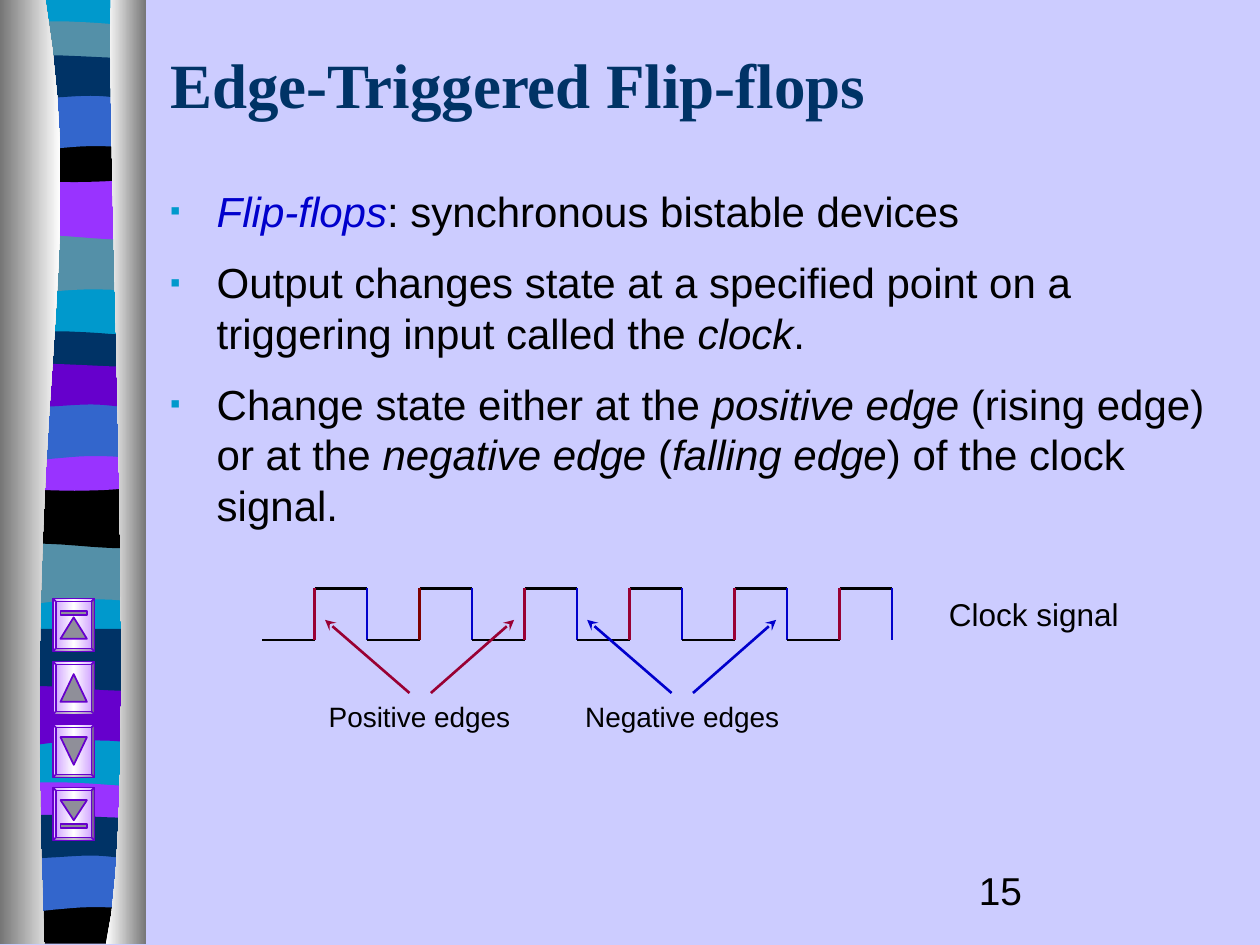
from copy import deepcopy

from pptx import Presentation
from pptx import util as u
from pptx.dml.color import RGBColor
from pptx.enum import shapes, text
from pptx.oxml import parse_xml
from pptx.oxml.ns import nsdecls, qn

LAVENDER = RGBColor(0xCC, 0xCC, 0xFF)
NAVY = RGBColor(0x00, 0x33, 0x66)
BLACK = RGBColor(0, 0, 0)
WHITE = RGBColor(0xFF, 0xFF, 0xFF)
GRAY = RGBColor(0x76, 0x76, 0x76)
ICON_GRAY = RGBColor(0x8F, 0x8F, 0x99)
CYAN = RGBColor(0x00, 0x99, 0xCC)
STEEL = RGBColor(0x54, 0x90, 0xA8)
VIOLET = RGBColor(0x99, 0x33, 0xFF)
PURPLE = RGBColor(0x66, 0x00, 0xCC)
LILAC = RGBColor(0xCC, 0x99, 0xFF)
AZURE = RGBColor(0x33, 0x66, 0xCC)
BLUE = RGBColor(0x00, 0x00, 0xCC)
CRIMSON = RGBColor(0x99, 0x00, 0x33)
MAROON = RGBColor(0x80, 0x00, 0x00)

TITLE = "Edge-Triggered Flip-flops"
PLAIN, ITALIC = {"color": BLACK}, {"color": BLACK, "italic": True}
BULLETS = [
    [("Flip-flops", {"color": BLUE, "italic": True}), (": synchronous bistable devices", PLAIN)],
    [("Output changes state at a specified point on a triggering input called the ", PLAIN),
     ("clock", ITALIC), (".", PLAIN)],
    [("Change state either at the ", PLAIN), ("positive edge", ITALIC),
     (" (rising edge) or at the ", PLAIN), ("negative edge", ITALIC), (" (", PLAIN),
     ("falling edge", ITALIC), (") of the clock signal.", PLAIN)],
]
CENTER, LEFT = text.PP_ALIGN.CENTER, text.PP_ALIGN.LEFT
LABELS = [  # wording, box, size, alignment
    ("Positive edges", (2.5, 5.5, 1.66, 0.37), 16, CENTER),
    ("Negative edges", (4.5, 5.5, 1.83, 0.37), 16, CENTER),
    ("Clock signal", (7.33, 4.67, 1.75, 0.4), 18, CENTER),
    ("15", (7.67, 6.83, 2.08, 0.5), 22.2, LEFT),
]

# Clock wave: low half, rising edge, high half, falling edge
WAVE_LEFT, HALF, HIGH, LOW = 2.08, 5 / 12, 4.67, 5.08
RISING_COLORS = [CRIMSON, MAROON, CRIMSON, CRIMSON, CRIMSON, CRIMSON]
ARROWS = [(3.25, 2.58, CRIMSON), (3.42, 4.08, CRIMSON), (5.5, 6.16, BLUE), (5.33, 4.66, BLUE)]
ARROW_FOOT, ARROW_TIP = 5.5, 4.92

# Ribbon bands: height, Bezier bottom edge (right to left), top edge (left to right)
BAND_LEFT, BAND_RIGHT = 0.05, 1.13
BANDS = {
    "twist": (0.47, [(0.39, 0.39), (0.23, 0.55), (0.05, 0.47)], []),
    "dip": (0.47, [(0.95, 0.54), (0.39, 0.41), (0.05, 0.47)], []),
    "thin": (0.24, [(0.95, 0.28), (0.23, 0.28), (0.05, 0.24)],
             [(0.12, -0.05), (0.29, -0.04), (0.47, -0.04),
              (0.65, -0.04), (1, -0.01), (1.13, 0)]),
    "sag": (0.32, [(0.95, 0.38), (0.23, 0.38), (0.05, 0.32)],
            [(0.72, 0.05), (0.91, 0), (1.13, 0)]),
    "foot": (0.37, [], [(0.72, 0.05), (0.91, 0), (1.13, 0)]),
    "arch": (0.47, [(0.97, 0.42), (0.9, 0.42), (0.72, 0.42),
                    (0.54, 0.42), (0.22, 0.47), (0.05, 0.47)], []),
    "wave": (0.3, [(1.07, 0.35), (0.9, 0.3), (0.72, 0.3),
                   (0.54, 0.3), (0.16, 0.35), (0.05, 0.3)],
             [(0.21, -0.05), (0.79, 0), (0.97, 0), (1.15, 0), (1.1, 0), (1.13, 0)]),
}
RIBBON = [
    ("twist", 1.85, STEEL), ("dip", 1.41, VIOLET), ("thin", 0.21, STEEL),
    ("sag", 1.08, BLACK), ("arch", 0.74, AZURE), ("wave", 0.46, NAVY),
    ("twist", 4.31, STEEL), ("dip", 3.86, BLACK), ("thin", 2.67, NAVY),
    ("sag", 3.53, VIOLET), ("arch", 3.2, AZURE), ("wave", 2.91, PURPLE),
    ("twist", 5.43, PURPLE), ("dip", 4.99, NAVY), ("thin", 6.25, VIOLET),
    ("foot", 7.12, BLACK), ("arch", 6.78, AZURE), ("wave", 6.49, NAVY),
]
CURTAINS = [  # start, Bezier edge, straight corners, gradient
    ((0.36, 0), [(0.71, 2.16), (0.17, 2.96), (0.35, 7.49)], [(0, 7.49), (0, 0)], [GRAY, WHITE]),
    ((0.88, 0), [(0.84, 1.25), (1.11, 6.46), (0.84, 7.49)], [(1.16, 7.49), (1.16, 0)],
     [WHITE, GRAY]),
]
BUTTON_LEFT, BUTTON_TOP, BUTTON_STEP = 0.42, 4.75, 0.5
BUTTONS = [  # triangle top, height, points down, bar top
    (0.15, 0.17, False, 0.1), (0.1, 0.22, False, None),
    (0.1, 0.22, True, None), (0.1, 0.16, True, 0.29),
]
UNITS = 1000  # freeform units to the inch


def inches(*lengths):
    return [u.Inches(length) for length in lengths]


def curve(start, controls, steps=16):
    """Points along joined cubic Beziers; controls come in threes."""
    points = []
    for i in range(0, len(controls), 3):
        knots = [start, *controls[i:i + 3]]
        for t in (n / steps for n in range(1, steps + 1)):
            weights = ((1 - t) ** 3, 3 * t * (1 - t) ** 2, 3 * t * t * (1 - t), t ** 3)
            points.append(tuple(sum(w * k[axis] for w, k in zip(weights, knots))
                                for axis in (0, 1)))
        start = knots[-1]
    return points


def paint(shape, colors, outline=None):
    """One colour fills plainly, several make a left-to-right gradient."""
    shape.shadow.inherit = False
    if len(colors) == 1:
        shape.fill.solid()
        shape.fill.fore_color.rgb = colors[0]
    else:
        shape.fill.gradient()
        stops = shape._element.spPr.find(qn("a:gradFill")).find(qn("a:gsLst"))
        for _ in colors[2:]:
            stops.append(deepcopy(stops[-1]))
        shape.fill.gradient_angle = 0
        for i, (stop, color) in enumerate(zip(shape.fill.gradient_stops, colors)):
            stop.color.rgb, stop.position = color, i / (len(colors) - 1)
    if outline is None:
        shape.line.fill.background()
    else:
        shape.line.color.rgb, shape.line.width = outline, u.Pt(1)


def add_outline(slide, points, colors):
    first, *others = [(round(x * UNITS), round(y * UNITS)) for x, y in points]
    builder = slide.shapes.build_freeform(*first, scale=u.Inches(1) / UNITS)
    builder.add_line_segments(others, close=True)
    paint(builder.convert_to_shape(), colors)


def add_preset(slide, kind, box, colors):
    shape = slide.shapes.add_shape(kind, *inches(*box))
    paint(shape, colors, PURPLE)
    return shape


def add_line(slide, start, end, color, arrow=False):
    line = slide.shapes.add_connector(shapes.MSO_CONNECTOR.STRAIGHT, *inches(*start, *end))
    line.line.color.rgb, line.line.width = color, u.Pt(1.5)
    if arrow:
        line.line._get_or_add_ln().append(
            parse_xml(f'<a:tailEnd {nsdecls("a")} type="stealth"/>'))
    line._element.spPr.append(parse_xml(f'<a:effectLst {nsdecls("a")}/>'))


def add_span(para, wording, size, color=BLACK, name="Arial", **style):
    span = para.add_run()
    span.text = wording
    span.font.color.rgb = color
    for key, value in {"size": u.Pt(size), "name": name, **style}.items():
        setattr(span.font, key, value)


def place(shape, box, anchor):
    shape.left, shape.top, shape.width, shape.height = inches(*box)
    frame = shape.text_frame
    frame.word_wrap, frame.auto_size = True, text.MSO_AUTO_SIZE.NONE
    frame.vertical_anchor = anchor
    return frame


def draw_sidebar(slide):
    add_outline(slide, [(BAND_RIGHT, 0), (BAND_RIGHT, 7.47), (BAND_LEFT, 7.47), (BAND_LEFT, 0)],
                [CYAN])
    for kind, y, color in RIBBON:
        height, bottom, top = BANDS[kind]
        points = [(BAND_RIGHT, 0), (BAND_RIGHT, height), *curve((BAND_RIGHT, height), bottom),
                  (BAND_LEFT, height), (BAND_LEFT, 0), *curve((BAND_LEFT, 0), top)]
        add_outline(slide, [(px, y + py) for px, py in points], [color])
    for start, edge, corners, colors in CURTAINS:
        add_outline(slide, [start, *curve(start, edge), *corners], colors)


def draw_buttons(slide):
    kinds = shapes.MSO_SHAPE
    for i, (tip, height, down, bar) in enumerate(BUTTONS):
        y = BUTTON_TOP + i * BUTTON_STEP
        frame = add_preset(slide, kinds.BEVEL, (BUTTON_LEFT, y, 0.33, 0.42), [LILAC, WHITE, LILAC])
        frame.adjustments[0] = 0.07
        icon = add_preset(slide, kinds.ISOSCELES_TRIANGLE,
                          (BUTTON_LEFT + 0.06, y + tip, 0.21, height), [ICON_GRAY])
        icon.rotation = 180 if down else 0
        if bar is not None:
            add_preset(slide, kinds.RECTANGLE, (BUTTON_LEFT + 0.06, y + bar, 0.21, 0.03),
                       [ICON_GRAY])


def draw_clock(slide):
    for i, rising in enumerate(RISING_COLORS):
        x = [WAVE_LEFT + (2 * i + n) * HALF for n in range(3)]
        add_line(slide, (x[0], LOW), (x[1], LOW), BLACK)
        add_line(slide, (x[1], HIGH), (x[2], HIGH), BLACK)
        add_line(slide, (x[1], HIGH), (x[1], LOW), rising)
        add_line(slide, (x[2], HIGH), (x[2], LOW), BLUE)
    for foot, tip, color in ARROWS:
        add_line(slide, (foot, ARROW_FOOT), (tip, ARROW_TIP), color, arrow=True)


def write_text(slide):
    title, body = slide.placeholders
    para = place(title, (1.25, 0.25, 8.5, 0.83), text.MSO_ANCHOR.MIDDLE).paragraphs[0]
    para.alignment = LEFT
    add_span(para, TITLE, 36, NAVY, "Times New Roman", bold=True)

    frame = place(body, (1.25, 1.42, 8.42, 2.83), text.MSO_ANCHOR.TOP)
    for i, spans in enumerate(BULLETS):
        para = frame.add_paragraph() if i else frame.paragraphs[0]
        props = para._p.get_or_add_pPr()
        props.set("marL", str(u.Inches(0.37)))
        props.set("indent", str(-u.Inches(0.37)))
        for tag in (f'buClr {nsdecls("a")}><a:srgbClr val="{CYAN}"/></a:buClr',
                    f'buSzPct {nsdecls("a")} val="70000"/',
                    f'buChar {nsdecls("a")} char="▪"/'):
            props.append(parse_xml(f"<a:{tag}>"))
        para.space_before = u.Pt(12 if i else 0)
        for wording, style in spans:
            add_span(para, wording, 24, **style)

    for wording, box, size, alignment in LABELS:
        label = slide.shapes.add_textbox(*inches(*box))
        para = place(label, box, text.MSO_ANCHOR.TOP).paragraphs[0]
        para.alignment = alignment
        add_span(para, wording, size)


def main():
    deck = Presentation()
    deck.slide_width, deck.slide_height = inches(10, 7.5)
    slide = deck.slides.add_slide(deck.slide_layouts[1])
    slide.background.fill.solid()
    slide.background.fill.fore_color.rgb = LAVENDER
    draw_sidebar(slide)
    write_text(slide)
    draw_clock(slide)
    draw_buttons(slide)
    deck.save("out.pptx")


if __name__ == "__main__":
    main()
